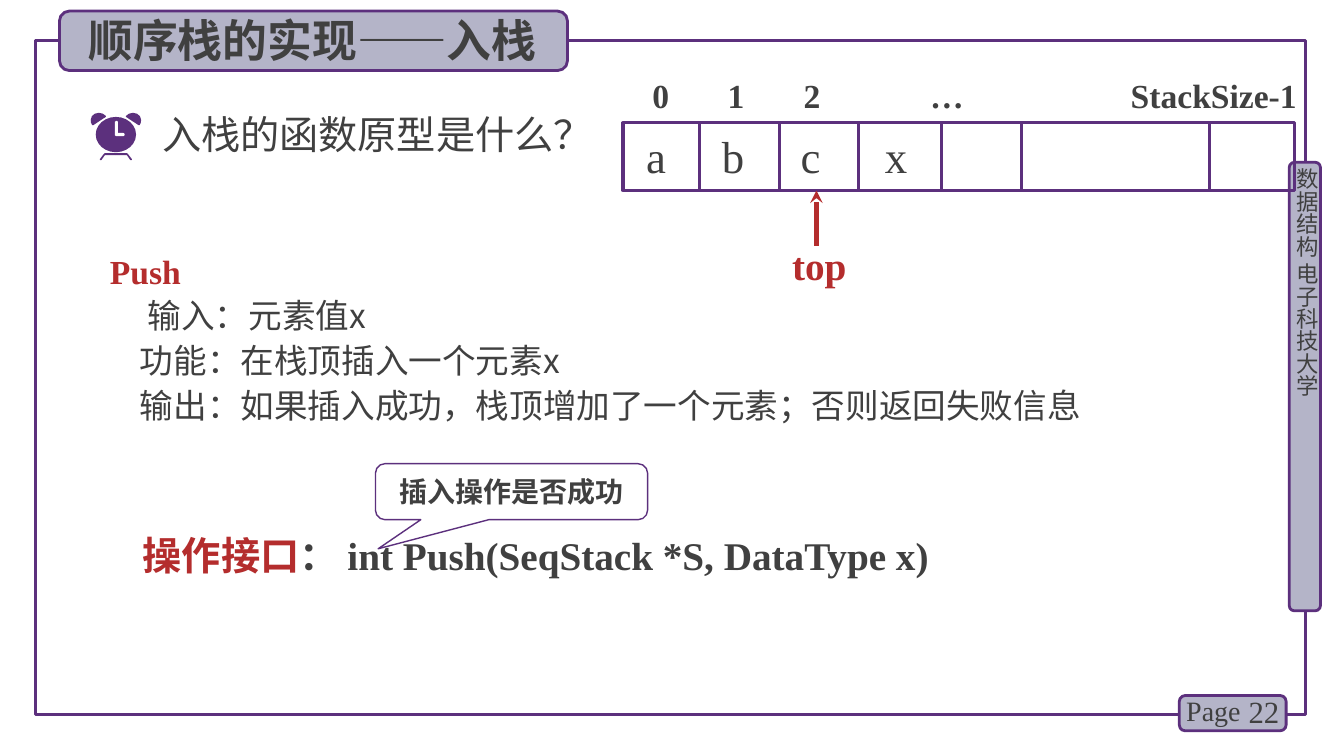
import pptx
import pptx.util
import pptx.dml.color
import pptx.enum.shapes
import pptx.enum.text
import pptx.oxml.ns
from lxml import etree

Pt = pptx.util.Pt
Kind = pptx.enum.shapes.MSO_SHAPE
Side = pptx.enum.text.PP_ALIGN
Mid = pptx.enum.text.MSO_ANCHOR.MIDDLE
Top = pptx.enum.text.MSO_ANCHOR.TOP
qn = pptx.oxml.ns.qn
SANS, SERIF = "Noto Sans CJK SC", "Times New Roman"
INK, RED, EDGE, PALE = "404040", "B42D2D", "5C307D", "B4B4C8"


def hue(code):
    return pptx.dml.color.RGBColor.from_string(code)


def apply(thing, form):
    for key, value in form.items():
        setattr(thing, key, value)


def write(para, text, size, face=SANS, color=INK, bold=False):
    run = para.add_run()
    run.text = text
    apply(run.font, {"size": Pt(size), "name": face, "bold": bold})
    run.font.color.rgb = hue(color)
    east = SANS if face == SERIF else face
    etree.SubElement(run.font._element, qn("a:ea")).set("typeface", east)


def label(slide, area, *runs, align=Side.LEFT, wrap=True, anchor=Top):
    box = slide.shapes.add_textbox(*map(Pt, area))
    apply(box.text_frame, {"word_wrap": wrap, "vertical_anchor": anchor})
    para = box.text_frame.paragraphs[0]
    para.alignment = align
    for text, form in runs:
        write(para, text, **form)
    return box


def paint(shape, fill, line, width=2):
    shape.shadow.inherit = False
    for part, code in ((shape.fill, fill), (shape.line.fill, line)):
        if code:
            part.solid()
            part.fore_color.rgb = hue(code)
        else:
            part.background()
    if line:
        shape.line.width = Pt(width)


def panel(slide, kind, area, fill, line, width=2):
    shape = slide.shapes.add_shape(kind, *map(Pt, area))
    paint(shape, fill, line, width)
    return shape


def rule(slide, start, end, color, width, head=None):
    line = slide.shapes.add_connector(
        pptx.enum.shapes.MSO_CONNECTOR.STRAIGHT, *map(Pt, start + end))
    line.line.color.rgb = hue(color)
    line.line.width = Pt(width)
    etree.SubElement(line._element.spPr, qn("a:effectLst"))
    if head:
        etree.SubElement(line.line._get_or_add_ln(), qn("a:tailEnd")).set("type", head)


def patch(slide, points, fill):
    first, *rest = [(Pt(x), Pt(y)) for x, y in points]
    pen = slide.shapes.build_freeform(*first)
    pen.add_line_segments(rest, close=True)
    paint(pen.convert_to_shape(), fill, None)


def place(slide, holder, area):
    apply(holder, dict(zip(("left", "top", "width", "height"), map(Pt, area))))
    apply(holder.text_frame, {"word_wrap": True, "vertical_anchor": Mid,
                              "auto_size": pptx.enum.text.MSO_AUTO_SIZE.NONE})
    slide.shapes.element.append(holder.element)
    return holder.text_frame


def frame(slide):
    panel(slide, Kind.RECTANGLE, (25.2, 28.8, 907.2, 481.7), None, EDGE, 2.25)
    panel(slide, Kind.ROUNDED_RECTANGLE, (920.9, 115.9, 22.3, 320.4), PALE, EDGE)
    course = label(slide, (923.8, 120.2, 19.4, 323.3),
                   ("数据结构 电子科技大学", {"size": 16}))
    apply(course.text_frame, dict.fromkeys(
        ("margin_left", "margin_top", "margin_right", "margin_bottom"), 0))
    course.text_frame._txBody.bodyPr.set("vert", "eaVert")
    panel(slide, Kind.ROUNDED_RECTANGLE, (842.4, 496.8, 76.3, 25.2), PALE, EDGE)
    label(slide, (878.4, 493.9, 42.5, 28.8), ("22", {"size": 22, "face": SERIF}),
          align=Side.RIGHT, wrap=False, anchor=Mid)
    label(slide, (840.2, 491.8, 56.2, 31.7), ("Page", {"size": 20, "face": SERIF}),
          wrap=False)


def clock(slide):
    mid = 82.8
    ear = [(-12.2, 80.6), (-15, 81.2), (-17.2, 83), (-18, 85.7), (-17.8, 87.6),
           (-17, 89.3), (-16, 89.3), (-7.2, 83.5), (-7.2, 82.8), (-9.4, 81.2)]
    foot = [(-11.5, 113.8), (-8.6, 110), (-7.9, 109.4), (0, 109.4),
            (0, 110.9), (-7.9, 110.9), (-10.4, 114.5), (-11.2, 114.5)]
    for turn in (1, -1):
        for part in (ear, foot):
            patch(slide, [(mid + turn * x, y) for x, y in part], EDGE)
    panel(slide, Kind.OVAL, (68.4, 83.5, 28.8, 25.2), EDGE, None)
    patch(slide, [(82.1, 87), (82.8, 86.4), (83.7, 86.4), (84.2, 87), (84.2, 95),
                  (88.2, 95), (89, 95.6), (89, 96.6), (88.2, 97.2),
                  (82.8, 97.2), (82.1, 96.6)], "FFFFFF")


def stack(slide):
    for mid, text in ((472, "0"), (525.7, "1"), (580, "2"),
                      (676.4, "…"), (867, "StackSize-1")):
        label(slide, (mid - 70, 49.7, 140, 36),
              (text, {"size": 24, "face": SERIF, "bold": True}), align=Side.CENTER)
    top, base = 87.8, 136.1
    panel(slide, Kind.RECTANGLE, (445, top, 479.5, base - top), None, EDGE, 2.25)
    for x in (499.7, 556.6, 613.4, 672.5, 729.4, 864):
        rule(slide, (x, top), (x, base), EDGE, 2.25)
    rule(slide, (583.2, 175.7), (583.2, base), RED, 3, "stealth")
    label(slide, (558.7, 168.5, 56.9, 41),
          ("top", {"size": 28, "face": SERIF, "color": RED, "bold": True}), wrap=False)
    for mid, text in ((468.6, "a"), (523.6, "b"), (579, "c"), (640, "x")):
        label(slide, (mid - 25, 88.6, 50, 46), (text, {"size": 32, "face": SERIF}),
              align=Side.CENTER)


def body(slide, holder):
    text = place(slide, holder, (71.3, 172.8, 807.8, 133.9))
    bold = {"face": SERIF, "color": RED, "bold": True}
    rows = (("Push", 0, bold),
            ("输入：元素值x", 27, {}),
            ("功能：在栈顶插入一个元素x", 21.5, {}),
            ("输出：如果插入成功，栈顶增加了一个元素；否则返回失败信息", 21.5, {}))
    for spot, (words, inset, form) in enumerate(rows):
        para = text.add_paragraph() if spot else text.paragraphs[0]
        props = para._p.get_or_add_pPr()
        props.set("marL", str(Pt(inset)))
        props.set("indent", "0")
        etree.SubElement(props, qn("a:buNone"))
        apply(para, {"line_spacing": Pt(32), "space_before": Pt(0),
                     "alignment": Side.LEFT})
        write(para, words, 24, **form)


def main():
    deck = pptx.Presentation()
    apply(deck, {"slide_width": Pt(960), "slide_height": Pt(540)})
    slide = deck.slides.add_slide(deck.slide_layouts[1])
    title, list_box = slide.placeholders
    frame(slide)
    panel(slide, Kind.ROUNDED_RECTANGLE, (42.5, 7.9, 362.9, 42.5), PALE, EDGE)
    head = place(slide, title, (52.6, 5, 341.3, 46.1)).paragraphs[0]
    head.alignment = Side.CENTER
    write(head, "顺序栈的实现——入栈", 32, bold=True)
    label(slide, (95, 375.8, 648, 41),
          ("操作接口", {"size": 28, "color": RED, "bold": True}),
          ("： int Push(SeqStack *S, DataType x)",
           {"size": 28, "face": SERIF, "bold": True}))
    label(slide, (108.7, 75.6, 330, 41), ("入栈的函数原型是什么？", {"size": 28}))
    clock(slide)
    body(slide, list_box)
    note = panel(slide, Kind.ROUNDED_RECTANGULAR_CALLOUT,
                 (268.2, 331.2, 194.4, 40), None, EDGE, 1)
    for spot, value in enumerate((-0.49, 1.02, 0.17)):
        note.adjustments[spot] = value
    note.text_frame.vertical_anchor = Mid
    para = note.text_frame.paragraphs[0]
    para.alignment = Side.CENTER
    write(para, "插入操作是否成功", 20, "Calibri", bold=True)
    stack(slide)
    deck.save("out.pptx")


if __name__ == "__main__":
    main()
